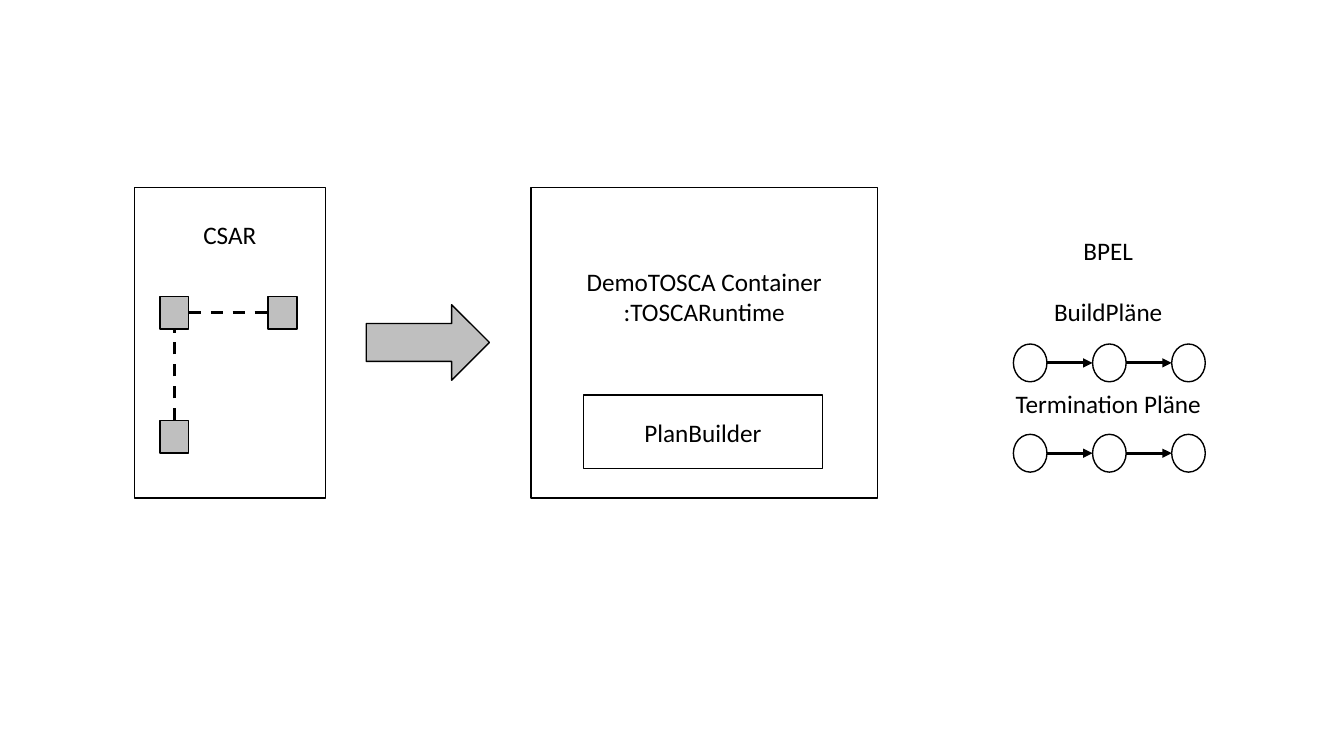
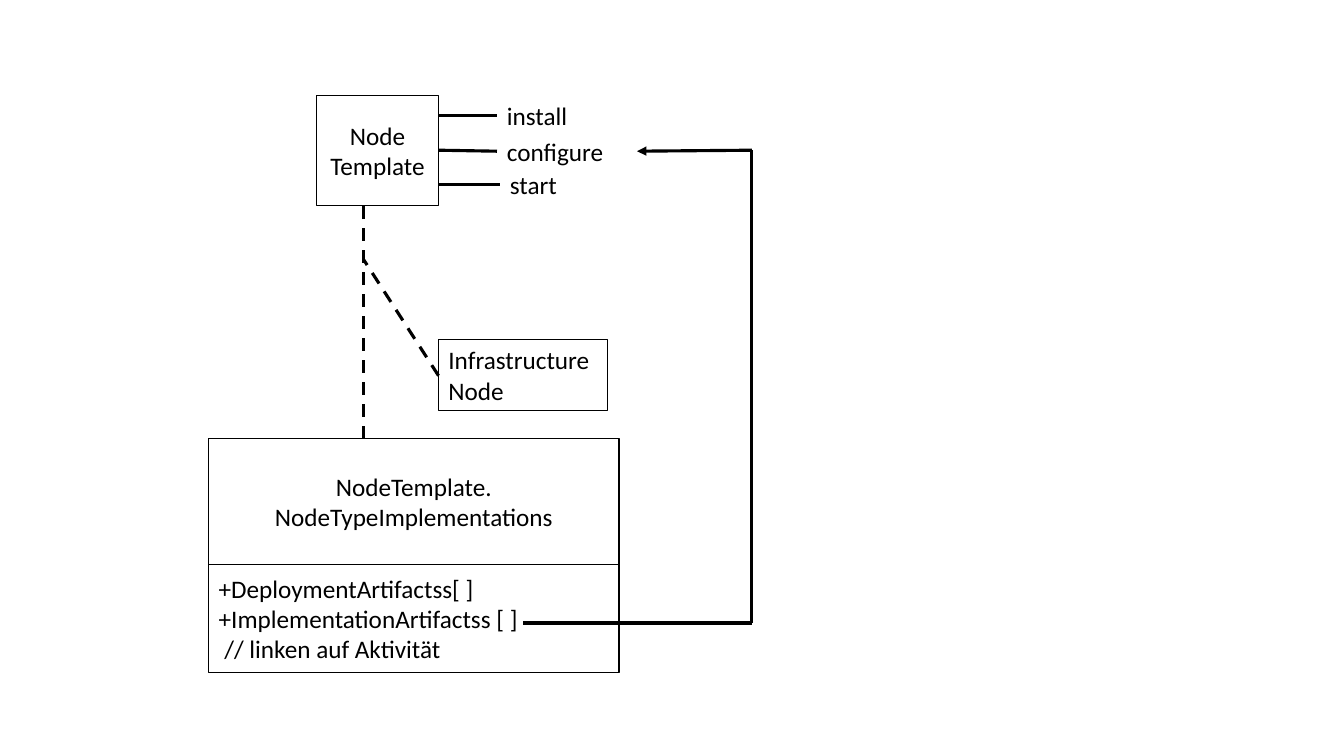
import pptx
import pptx.util
import pptx.dml.color
import pptx.enum.dml
import pptx.enum.shapes
import pptx.enum.text
import pptx.oxml.ns
import lxml.etree

WIDTH = pptx.util.Inches(13.333)
HEIGHT = pptx.util.Inches(7.5)
FONT, SIZE, LINE_PITCH = "Calibri", 18, 22
BLACK, GREY = "000000", "BFBFBF"
SHAPES = pptx.enum.shapes.MSO_SHAPE
ANCHOR = pptx.enum.text.MSO_ANCHOR
ALIGN = pptx.enum.text.PP_ALIGN


def color(value):
    """Turn a hex string into a colour."""
    return pptx.dml.color.RGBColor.from_string(value)


def x(share):
    """Length from a percentage of the slide width."""
    return round(WIDTH * share / 100)


def y(share):
    """Length from a percentage of the slide height."""
    return round(HEIGHT * share / 100)


def box(left, top, width, height):
    """Position and size from percentages of the slide."""
    return x(left), y(top), x(width), y(height)


def write(sp, lines, align=ALIGN.CENTER, anchor=ANCHOR.MIDDLE, inset=None, gaps=()):
    """Write one paragraph per line; gaps are line counts above each one."""
    tf = sp.text_frame
    tf.word_wrap = True
    tf.vertical_anchor = anchor
    if inset is not None:
        tf.margin_top = y(inset)
    for i, line in enumerate(lines):
        p = tf.paragraphs[0] if i == 0 else tf.add_paragraph()
        p.alignment = align
        if gaps:
            p.space_before = pptx.util.Pt(gaps[i] * LINE_PITCH)
        r = p.add_run()
        r.text = line
        r.font.name = FONT
        r.font.size = pptx.util.Pt(SIZE)
        r.font.color.rgb = color(BLACK)


def shape(s, area, kind=SHAPES.RECTANGLE, fill=None, weight=1):
    """Add an outlined shape, hollow unless a fill is given."""
    sp = s.shapes.add_shape(kind, *box(*area))
    sp.shadow.inherit = False
    if fill:
        sp.fill.solid()
        sp.fill.fore_color.rgb = color(fill)
    else:
        sp.fill.background()
    sp.line.color.rgb = color(BLACK)
    sp.line.width = pptx.util.Pt(weight)
    return sp


def label(s, area, lines, **style):
    """Add a text box."""
    write(s.shapes.add_textbox(*box(*area)), lines, **style)


def line(s, start, end, dashed=False, arrow=False):
    """Add a straight line between two points."""
    cn = s.shapes.add_connector(pptx.enum.shapes.MSO_CONNECTOR.STRAIGHT,
                                x(start[0]), y(start[1]), x(end[0]), y(end[1]))
    cn.line.color.rgb = color(BLACK)
    cn.line.width = pptx.util.Pt(2.25)
    if dashed:
        cn.line.dash_style = pptx.enum.dml.MSO_LINE.DASH
    qn = pptx.oxml.ns.qn
    props = cn.element.find(qn("p:spPr"))
    if arrow:
        lxml.etree.SubElement(props.find(qn("a:ln")), qn("a:tailEnd"), type="triangle")
    lxml.etree.SubElement(props, qn("a:effectLst"))


def plan(s, left, middle):
    """Draw three activities joined by arrows."""
    width, height, step = 2.5, 5, 5.89
    for i in range(3):
        shape(s, (left + i * step, middle - height / 2, width, height), SHAPES.OVAL)
    for i in range(2):
        begin = left + i * step + width
        line(s, (begin, middle), (begin + step - width, middle), arrow=True)


def topology(s, left, top):
    """Draw three nodes joined by dashed relations."""
    width, height, across, down = 2.15, 4.3, 8.05, 16.4
    for dx, dy in ((0, 0), (across, 0), (0, down)):
        shape(s, (left + dx, top + dy, width, height), fill=GREY)
    center, middle = left + width / 2, top + height / 2
    line(s, (left + width, middle), (left + across, middle), dashed=True)
    line(s, (center, top + down), (center, top + height), dashed=True)


def overview_slide(s):
    """From the archive through the container to the plans."""
    top, height = 24.8, 41.1
    csar = shape(s, (10, top, 14.2, height))
    write(csar, ["CSAR"], anchor=ANCHOR.TOP, inset=4.28)
    topology(s, 11.9, 39.2)
    shape(s, (27.25, 40.3, 9.17, 10), SHAPES.RIGHT_ARROW, GREY)
    container = shape(s, (39.5, top, 25.8, height))
    write(container, ["DemoTOSCA Container", ":TOSCARuntime"],
          anchor=ANCHOR.TOP, inset=10.38)
    write(shape(s, (43.4, 52.27, 17.8, 9.75)), ["PlanBuilder"])
    label(s, (72, top, 20.93, height), ["BPEL", "BuildPläne", "Termination Pläne"],
          anchor=ANCHOR.TOP, inset=6.31, gaps=(0, 1, 2))
    for middle in (48, 59.95):
        plan(s, 75.4, middle)


def template_slide(s):
    """A node template, its operations and its implementations."""
    left, width = 15.53, 30.53
    write(shape(s, (left, 58, width, 16.67)),
          ["NodeTemplate.", "NodeTypeImplementations"])
    write(shape(s, (left, 74.67, width, 14.3)),
          ["+DeploymentArtifactss[ ]", "+ImplementationArtifactss [ ]",
           " // linken auf Aktivität"], align=ALIGN.LEFT)
    edge, stem = 32.63, 27.08
    write(shape(s, (23.55, 12.67, 9.08, 14.55)), ["Node", "Template"])
    for name, begin, middle, port in (("install", 36.98, 15.33, 15.33),
                                      ("configure", 36.98, 20, 19.87),
                                      ("start", 37.2, 24.4, 24.4)):
        label(s, (begin, middle - 2.67, 10.4, 5.34), [name],
              align=ALIGN.LEFT, anchor=ANCHOR.TOP)
        line(s, (begin, middle), (edge, port))
    line(s, (stem, 58), (stem, 27.22), dashed=True)
    write(shape(s, (edge, 44.93, 12.6, 9.4), weight=0.75),
          ["Infrastructure", "Node"], align=ALIGN.LEFT, anchor=ANCHOR.TOP)
    line(s, (edge, 49.7), (stem, 34.4), dashed=True)
    route = [(38.93, 82.4), (55.95, 82.4), (55.95, 19.87), (47.4, 20)]
    for i in range(3):
        line(s, route[i], route[i + 1], arrow=i == 2)


def main():
    """Build and save the presentation."""
    prs = pptx.Presentation()
    prs.slide_width, prs.slide_height = WIDTH, HEIGHT
    for build in (overview_slide, template_slide):
        build(prs.slides.add_slide(prs.slide_layouts[6]))
    prs.save("out.pptx")


main()
